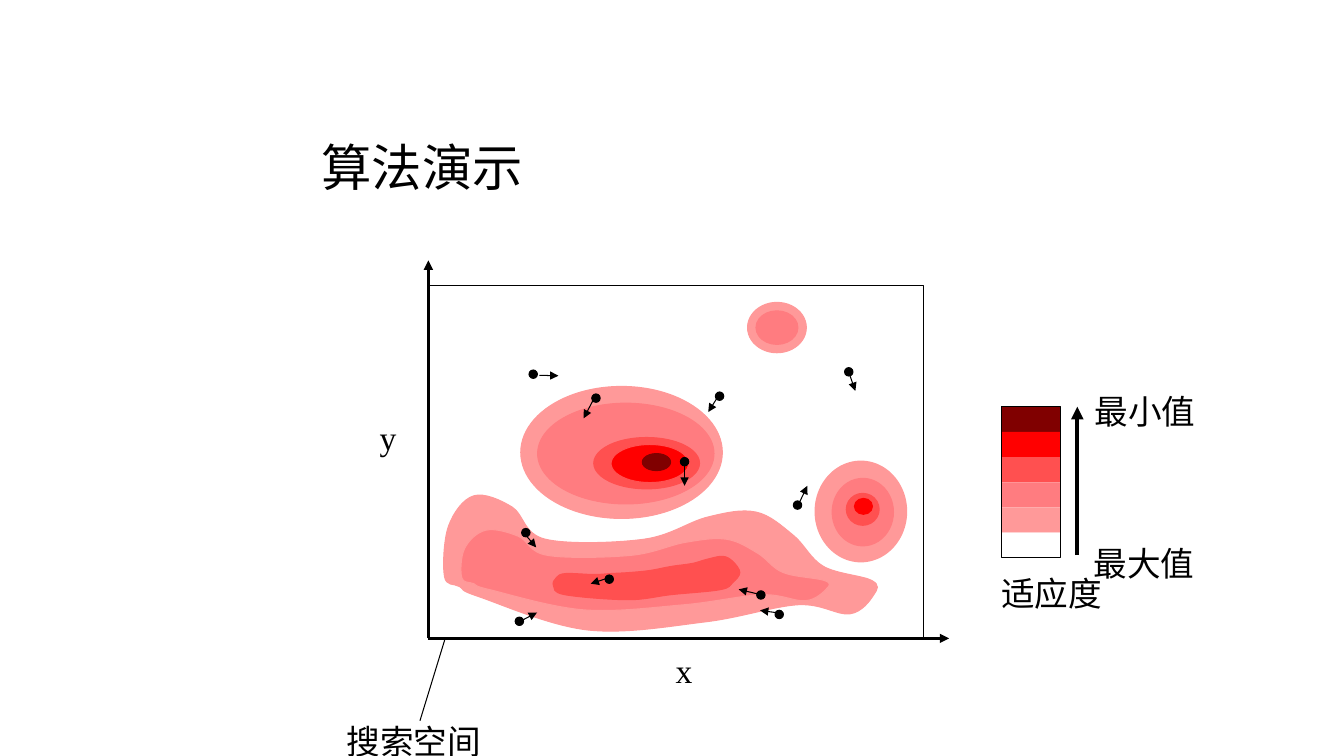
"""Build a slide showing particles searching a fitness landscape."""
from typing import NamedTuple, Optional

from pptx import Presentation
from pptx.dml import color as dml
from pptx.enum import shapes, text
from pptx.oxml import ns, xmlchemy as x
from pptx.util import Pt

BLACK, WHITE = "000000", "FFFFFF"
PALE, PINK, CORAL, RED, DARK = "FF9999", "FF7C80", "FF5050", "FF0000", "800000"
RECT, OVAL = shapes.MSO_SHAPE.RECTANGLE, shapes.MSO_SHAPE.OVAL
SERIF = "Times New Roman"
DOT = 6
LEGEND_X, LEGEND_Y, LEGEND_W, BAND_H = 715.7, 290.5, 42, 18


class Spot(NamedTuple):
    """An ellipse of equal fitness."""
    x: float
    y: float
    w: float
    h: float
    fill: str
    line: Optional[str] = None


class Valley(NamedTuple):
    """A closed smooth outline of equal fitness."""
    fill: str
    line: str
    knots: list


class Particle(NamedTuple):
    """A dot with its centre and the ends of its velocity arrow."""
    x: float
    y: float
    x1: float
    y1: float
    x2: float
    y2: float


class Label(NamedTuple):
    """A text box of one unwrapped line."""
    words: str
    x: float
    y: float
    w: float


RIGHT_HILL = [
    Spot(581.8, 329, 66.2, 72.7, PALE),
    Spot(594, 341.3, 44.6, 49, PINK),
    Spot(604.1, 352, 24.3, 23.6, CORAL),
    Spot(609.9, 355.6, 13.7, 12.2, RED),
]
TOP_HILL = [
    Spot(534, 216, 42, 36, PALE, PALE),
    Spot(540, 222, 30, 24, PINK, PINK),
]
MAIN_HILL = [
    Spot(372, 276, 144, 94.3, PALE, PALE),
    Spot(384, 288, 126, 72, PINK, PINK),
    Spot(424.1, 312.5, 75.6, 36.7, CORAL, CORAL),
    Spot(436.5, 317.5, 55.4, 27.2, RED, CORAL),
    Spot(458.8, 324, 20.2, 12.2, DARK, DARK),
]
VALLEYS = [
    Valley(PALE, PALE, [
        (342, 426.2), (419.8, 450), (504, 444.2), (570.2, 432), (607, 438.5), (624.2, 424.8),
        (622.8, 414.7), (588.2, 404.6), (566.6, 382.3), (540, 365.8), (505.4, 369.4), (460.1, 385.2),
        (389.5, 385.2), (365.8, 362.2), (338.4, 354.2), (320.4, 375.8), (317.5, 411.8), (328.3, 419)]),
    Valley(PINK, PALE, [
        (349.9, 421.2), (416.9, 435.6), (488.2, 432), (544.3, 424.8), (575.3, 429.1), (590.4, 420.5),
        (589, 414.7), (559.4, 409), (541.4, 395.3), (519.1, 385.2), (489.6, 387.4), (450.7, 396.7),
        (391, 396.7), (370.1, 383), (347, 378.7), (331.9, 391.7), (329.8, 412.6), (338.4, 416.9)]),
    Valley(CORAL, CORAL, [
        (403.2, 424.8), (448.6, 428.4), (479.5, 424.8), (514.8, 421.2), (523.4, 416.2), (528.5, 409),
        (523.4, 401), (516.2, 397.4), (504.7, 399.6), (494.6, 402.5), (479.5, 404.6), (464.4, 407.5),
        (449.3, 409), (436.3, 409.7), (424.1, 410.4), (403.9, 409.7), (397.4, 412.6), (395.3, 418.3)]),
]
PARTICLES = [
    Particle(380.9, 267.3, 385.2, 268.1, 398.9, 268.4),
    Particle(425.7, 284.4, 424.8, 283.7, 416.9, 298.8),
    Particle(514, 283, 512.6, 283.7, 505.9, 294.3),
    Particle(375.6, 380.5, 374.4, 380.9, 383, 391),
    Particle(435.2, 413.7, 434.9, 412.7, 421.9, 416.9),
    Particle(543.5, 425, 543.6, 424.8, 527.6, 421),
    Particle(569.7, 360.8, 570.2, 360.7, 576.7, 347),
    Particle(606.3, 265.6, 606.2, 265.7, 611, 279.2),
    Particle(556.6, 438.9, 555.8, 437.8, 542.9, 436),
    Particle(371, 443.8, 372.2, 443.5, 383.6, 437.5),
    Particle(489, 329.8, 489, 329, 489, 347),
]
AXIS_LABELS = [Label("x", 475.5, 460.8, 26.6), Label("y", 264.2, 294.2, 26.6)]
LEGEND_LABELS = [
    Label("适应度", 708.1, 405.8, 87),
    Label("最大值", 774.2, 384.5, 87),
    Label("最小值", 774.7, 275.8, 87),
]


def rgb(value: str) -> dml.RGBColor:
    """Turn a hex string into a colour."""
    return dml.RGBColor.from_string(value)


def paint(s, fill: Optional[str], line: Optional[str]) -> None:
    """Give a shape its fill and thin outline, without shadow."""
    s.shadow.inherit = False
    if fill:
        s.fill.solid()
        s.fill.fore_color.rgb = rgb(fill)
    else:
        s.fill.background()
    if line:
        s.line.color.rgb = rgb(line)
        s.line.width = Pt(0.75)
    else:
        s.line.fill.background()


def add_preset(tree, kind, x: float, y: float, w: float, h: float,
               fill: Optional[str] = None, line: Optional[str] = None) -> None:
    """Draw a preset shape."""
    paint(tree.add_shape(kind, Pt(x), Pt(y), Pt(w), Pt(h)), fill, line)


def add_line(tree, x1: float, y1: float, x2: float, y2: float,
             width: float = 0.75, arrow: bool = True) -> None:
    """Draw a straight black line, with an arrowhead at its end if asked."""
    c = tree.add_connector(shapes.MSO_CONNECTOR.STRAIGHT, Pt(x1), Pt(y1), Pt(x2), Pt(y2))
    c.line.color.rgb = rgb(BLACK)
    c.line.width = Pt(width)
    pr = c.element.spPr
    if arrow:
        tail = x.OxmlElement("a:tailEnd")
        tail.set("type", "triangle")
        pr.find(ns.qn("a:ln")).append(tail)
    pr.append(x.OxmlElement("a:effectLst"))


def add_text(tree, words: str, x: float, y: float, w: float, h: float = 36.4, *,
             size: float = 24, font: str = SERIF, align=None,
             anchor=text.MSO_ANCHOR.TOP, wrap: bool = False) -> None:
    """Write one line of black text."""
    tf = tree.add_textbox(Pt(x), Pt(y), Pt(w), Pt(h)).text_frame
    tf.word_wrap = wrap
    tf.auto_size = text.MSO_AUTO_SIZE.NONE if wrap else text.MSO_AUTO_SIZE.SHAPE_TO_FIT_TEXT
    tf.vertical_anchor = anchor
    p = tf.paragraphs[0]
    p.alignment = align
    r = p.add_run()
    r.text = words
    r.font.size, r.font.name = Pt(size), font
    r.font.color.rgb = rgb(BLACK)


def add_valley(tree, valley: Valley) -> None:
    """Draw a closed Catmull-Rom curve through the knots as Bézier segments."""
    knots = [(Pt(a), Pt(b)) for a, b in valley.knots]
    fb = tree.build_freeform(*knots[0])
    fb.add_line_segments(knots[1:], close=True)
    s = fb.convert_to_shape()
    paint(s, valley.fill, valley.line)
    outline = s.element.spPr.find(".//" + ns.qn("a:path"))
    for segment in outline.findall(ns.qn("a:lnTo")):
        outline.remove(segment)
    close = outline.find(ns.qn("a:close"))
    for i in range(len(knots)):
        before, start, end, after = [knots[(i + k) % len(knots)] for k in (-1, 0, 1, 2)]
        curve = x.OxmlElement("a:cubicBezTo")
        leave = [b + (c - a) / 6 for a, b, c in zip(before, start, end)]
        arrive = [b - (c - a) / 6 for a, b, c in zip(start, end, after)]
        for px, py in (leave, arrive, end):
            pt = x.OxmlElement("a:pt")
            pt.set("x", str(round(px - s.left)))
            pt.set("y", str(round(py - s.top)))
            curve.append(pt)
        close.addprevious(curve)


def add_landscape(tree) -> None:
    """Draw the search space with its axes and fitness areas."""
    add_preset(tree, RECT, 306, 204, 354, 252, WHITE, BLACK)
    for spot in RIGHT_HILL:
        add_preset(tree, OVAL, *spot)
    add_line(tree, 306, 456, 306, 186, 2.25)
    add_line(tree, 306, 456, 678, 456, 2.25)
    for label in AXIS_LABELS:
        add_text(tree, *label)
    for spot in TOP_HILL:
        add_preset(tree, OVAL, *spot)
    for valley in VALLEYS:
        add_valley(tree, valley)
    for spot in MAIN_HILL:
        add_preset(tree, OVAL, *spot)


def add_legend(tree) -> None:
    """Draw the fitness scale."""
    bands = [DARK, RED, CORAL, PINK, PALE, WHITE]
    for i, fill in enumerate(bands):
        add_preset(tree, RECT, LEGEND_X, LEGEND_Y + i * BAND_H, LEGEND_W, BAND_H, fill)
    add_preset(tree, RECT, LEGEND_X, LEGEND_Y, LEGEND_W, len(bands) * BAND_H, line=BLACK)
    for label in LEGEND_LABELS:
        add_text(tree, *label)
    add_line(tree, 769.5, 396.5, 769.5, LEGEND_Y, 3)


def main() -> None:
    """Build and save the slide."""
    prs = Presentation()
    prs.slide_width, prs.slide_height = Pt(960), Pt(540)
    tree = prs.slides.add_slide(prs.slide_layouts[6]).shapes
    add_landscape(tree.add_group_shape().shapes)
    for dot in PARTICLES:
        group = tree.add_group_shape().shapes
        add_preset(group, OVAL, dot.x - DOT / 2, dot.y - DOT / 2, DOT, DOT, BLACK, BLACK)
        add_line(group, *dot[2:])
    add_line(tree, 318, 456, 300, 514.8, arrow=False)
    add_text(tree, "搜索空间", 239.8, 511.2, 111.6, font="Karla", align=text.PP_ALIGN.CENTER)
    add_legend(tree.add_group_shape().shapes)
    add_text(tree, "算法演示", 222.5, 28.8, 613.4, 115.2, size=36, font="Arial",
             anchor=text.MSO_ANCHOR.BOTTOM, wrap=True)
    prs.save("out.pptx")


if __name__ == "__main__":
    main()
